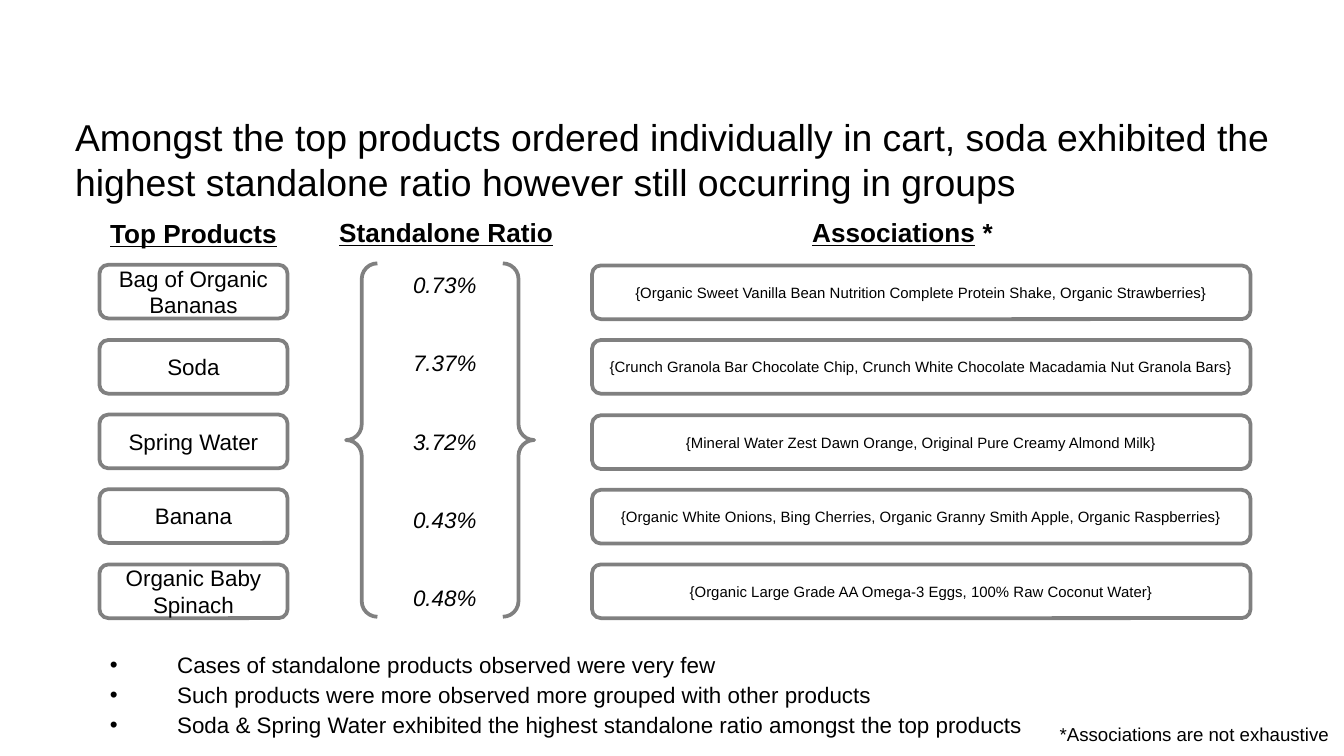
from dataclasses import dataclass

from lxml import etree
from pptx import Presentation, util as u
from pptx.dml import color
from pptx.enum import shapes, text
from pptx.oxml import ns

PX = 4572
CENTER = text.PP_ALIGN.CENTER
LEFT = text.PP_ALIGN.LEFT


@dataclass(frozen=True)
class Theme:
    """Colours, font and type sizes of the deck."""
    font: str = "Arial"
    ink: str = "000000"
    paper: str = "FFFFFF"
    outline: str = "808080"
    title: int = 20
    heading: int = 14
    body: int = 12
    note: int = 10
    small: int = 8
    stroke: int = 2


class Painter:
    """Draws styled elements on the current page."""

    def __init__(self, page, theme):
        """Keep the page and its theme."""
        self.page = page
        self.theme = theme

    def span(self, para, words, size, bold=None, italic=None, underline=None):
        """Add one styled run to a paragraph."""
        run = para.add_run()
        run.text = words
        font = run.font
        font.name, font.size = self.theme.font, u.Pt(size)
        font.bold, font.italic, font.underline = bold, italic, underline
        font.color.rgb = color.RGBColor.from_string(self.theme.ink)

    def frame(self, area):
        """Add a wrapping text box and return its text frame."""
        box = self.page.shapes.add_textbox(*(n * PX for n in area))
        box.text_frame.word_wrap = True
        return box.text_frame

    def label(self, area, words, size, align=LEFT, **style):
        """Add a one-paragraph text box and return the paragraph."""
        para = self.frame(area).paragraphs[0]
        para.alignment = align
        self.span(para, words, size, **style)
        return para

    def outline(self, kind, area):
        """Add a preset shape with the grey outline."""
        shape = self.page.shapes.add_shape(kind, *(n * PX for n in area))
        shape.shadow.inherit = False
        shape.fill.background()
        shape.line.color.rgb = color.RGBColor.from_string(self.theme.outline)
        shape.line.width = u.Pt(self.theme.stroke)
        return shape

    def card(self, area, words, size):
        """Add a rounded card with centred text."""
        box = self.outline(shapes.MSO_SHAPE.ROUNDED_RECTANGLE, area)
        box.fill.solid()
        box.fill.fore_color.rgb = color.RGBColor.from_string(self.theme.paper)
        frame = box.text_frame
        frame.word_wrap = True
        frame.vertical_anchor = text.MSO_ANCHOR.MIDDLE
        para = frame.paragraphs[0]
        para.alignment = CENTER
        self.span(para, words, size)

    def bullets(self, area, lines):
        """Add a bulleted list with hanging indents."""
        frame = self.frame(area)
        for index, line in enumerate(lines):
            para = frame.add_paragraph() if index else frame.paragraphs[0]
            para.line_spacing = 0.95
            para.space_before = u.Pt(2.4)
            props = para._p.get_or_add_pPr()
            props.set("marL", str(100 * PX))
            props.set("indent", str(-100 * PX))
            etree.SubElement(props, ns.qn("a:buFont"), typeface=self.theme.font)
            etree.SubElement(props, ns.qn("a:buChar"), char="•")
            self.span(para, line, self.theme.body)


def spread(first, last, count):
    """Return evenly spaced whole positions from first to last."""
    return [round(first + (last - first) * i / (count - 1)) for i in range(count)]


PRODUCTS = ["Bag of Organic Bananas", "Soda", "Spring Water", "Banana", "Organic Baby Spinach"]
RATIOS = ["0.73%", "7.37%", "3.72%", "0.43%", "0.48%"]
GROUPS = [
    "{Organic Sweet Vanilla Bean Nutrition Complete Protein Shake, Organic Strawberries}",
    "{Crunch Granola Bar Chocolate Chip, Crunch White Chocolate Macadamia Nut Granola Bars}",
    "{Mineral Water Zest Dawn Orange, Original Pure Creamy Almond Milk}",
    "{Organic White Onions, Bing Cherries, Organic Granny Smith Apple, Organic Raspberries}",
    "{Organic Large Grade AA Omega-3 Eggs, 100% Raw Coconut Water}",
]
FINDINGS = [
    "Cases of standalone products observed were very few",
    "Such products were more observed more grouped with other products",
    "Soda & Spring Water exhibited the highest standalone ratio amongst the top products",
]


def main():
    """Build the standalone ratio slide."""
    deck = Presentation()
    deck.slide_width, deck.slide_height = 2000 * PX, 1125 * PX
    theme = Theme()
    painter = Painter(deck.slides.add_slide(deck.slide_layouts[6]), theme)

    painter.label((92, 160, 1836, 210),
                  "Amongst the top products ordered individually in cart, soda exhibited "
                  "the highest standalone ratio however still occurring in groups",
                  theme.title)

    for top, product in zip(spread(394, 840, len(PRODUCTS)), PRODUCTS):
        painter.card((148, top, 280, 80), product, theme.body)
    for top, group in zip(spread(395, 840, len(GROUPS)), GROUPS):
        painter.card((881, top, 980, 80), group, theme.small)

    headings = [
        ((141, 314, 294, 68), "Top Products", ""),
        ((1173, 312, 340, 68), "Associations", " *"),
        ((477, 312, 374, 68), "Standalone Ratio", ""),
    ]
    for area, words, mark in headings:
        para = painter.label(area, words, theme.heading, CENTER, bold=True, underline=True)
        if mark:
            painter.span(para, mark, theme.heading, bold=True)

    painter.outline(shapes.MSO_SHAPE.DOUBLE_BRACE, (515, 392, 280, 526))
    for top, ratio in zip(spread(394, 860, len(RATIOS)), RATIOS):
        painter.label((595, top, 180, 60), ratio, theme.body, italic=True)

    painter.bullets((144, 962, 1594, 132), FINDINGS)
    painter.label((1554, 1066, 446, 54), "*Associations are not exhaustive", theme.note, CENTER)
    deck.save("out.pptx")


if __name__ == "__main__":
    main()
